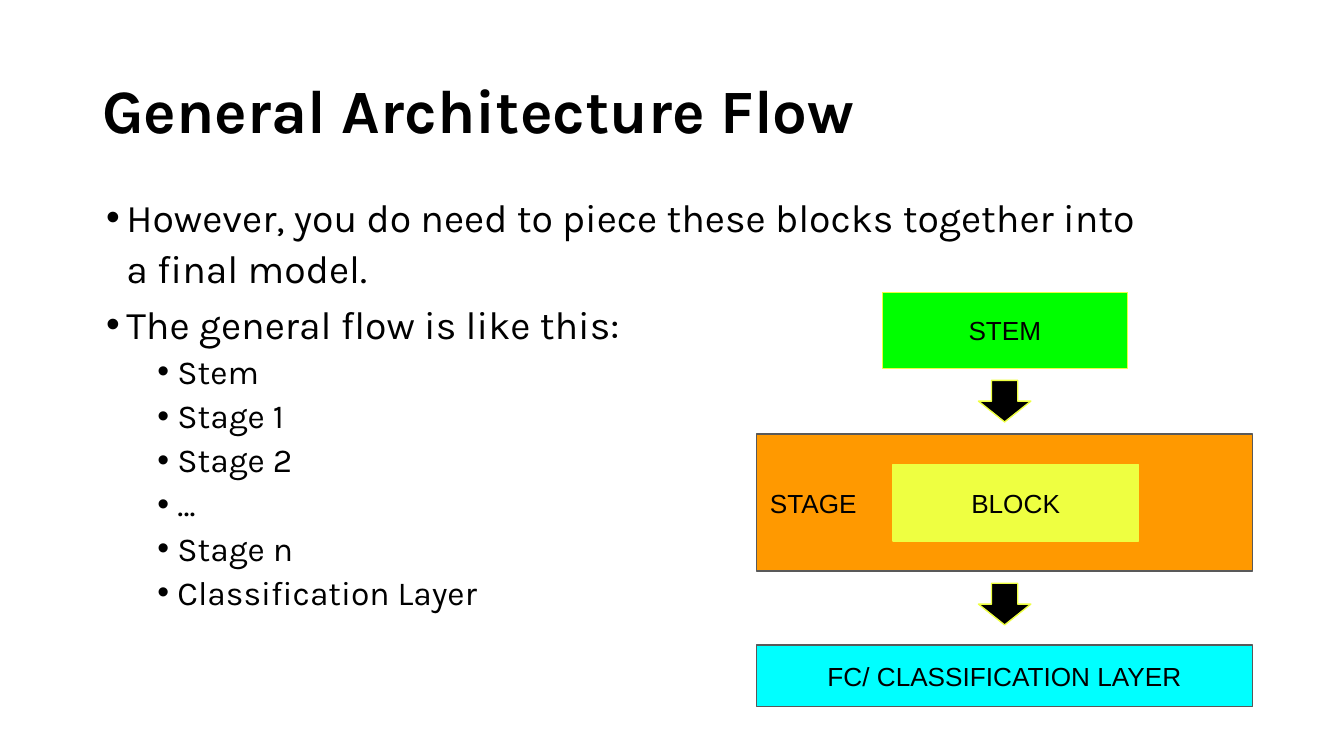
from lxml import etree
from pptx import Presentation
from pptx.dml.color import RGBColor
from pptx.enum.shapes import MSO_SHAPE
from pptx.enum.text import MSO_ANCHOR, MSO_AUTO_SIZE, PP_ALIGN
from pptx.oxml.ns import qn
from pptx.util import Emu, Pt

RECT, ARROW = MSO_SHAPE.RECTANGLE, MSO_SHAPE.DOWN_ARROW
TOP, MID = MSO_ANCHOR.TOP, MSO_ANCHOR.MIDDLE
LEFT, CENTER = PP_ALIGN.LEFT, PP_ALIGN.CENTER
FIT = MSO_AUTO_SIZE.NONE
SCALE = 4572  # EMU in one px, 200 px to the inch
BLACK, GRAY, LIME = "000000", "595959", "EEFF41"


def px(n):
    return Emu(n * SCALE)


def color(code):
    return RGBColor.from_string(code)


def write(para, text, font="Arial", size=14, bold=False, tint=BLACK,
          align=LEFT, before=0, lead=1.0):
    para.text = text
    para.alignment = align
    para.space_before, para.line_spacing = Pt(before), lead
    face = para.font
    face.name, face.size, face.bold = font, Pt(size), bold
    face.color.rgb = color(tint)


def bullet(para, left, hang):
    props = para._p.get_or_add_pPr()
    props.set("marL", str(px(left)))
    props.set("indent", str(-px(hang)))
    tint = etree.SubElement(props, qn("a:buClr"))
    etree.SubElement(tint, qn("a:srgbClr"), val=BLACK)
    etree.SubElement(props, qn("a:buFont"), typeface="Arial")
    etree.SubElement(props, qn("a:buChar"), char="•")


class Deck:
    """Holds the style and the current slide."""

    font = "Karla"
    # per list level: text size, left indent, space before
    levels = ((21, 30, 5), (18, 106, 2))

    def __init__(self, wide, high):
        self.prs = Presentation()
        self.prs.slide_width, self.prs.slide_height = px(wide), px(high)
        self.slide = self.prs.slides.add_slide(self.prs.slide_layouts[1])

    def frame(self, shape, box, inset, anchor):
        shape.left, shape.top, shape.width, shape.height = map(px, box)
        frame = shape.text_frame
        frame.word_wrap, frame.auto_size = True, FIT
        frame.vertical_anchor = anchor
        (frame.margin_left, frame.margin_top,
         frame.margin_right, frame.margin_bottom) = map(px, inset)
        return frame

    def title(self, text, box):
        frame = self.frame(self.slide.shapes.title, box, (2, 3, 0, 0), TOP)
        write(frame.paragraphs[0], text, font=self.font, size=33, bold=True)

    def body(self, items, box):
        frame = self.frame(self.slide.placeholders[1], box, (0, 9, 0, 0), TOP)
        for i, (level, text) in enumerate(items):
            para = frame.add_paragraph() if i else frame.paragraphs[0]
            size, left, before = self.levels[level]
            para.level = level
            bullet(para, left, 30)
            write(para, text, font=self.font, size=size,
                  before=before if i else 0, lead=1.0 if i else 1.08)

    def shape(self, kind, box, fill, line):
        shape = self.slide.shapes.add_shape(kind, *map(px, box))
        shape.shadow.inherit = False
        shape.fill.solid()
        shape.fill.fore_color.rgb = color(fill)
        shape.line.color.rgb = color(line)
        shape.line.width = Pt(0.75)
        return shape

    def block(self, text, box, fill, line, align=CENTER):
        shape = self.shape(RECT, box, fill, line)
        frame = self.frame(shape, box, (20,) * 4, MID)
        write(frame.paragraphs[0], text, align=align)

    def arrow(self, left, top):
        self.shape(ARROW, (left, top, 78, 62), BLACK, LIME)


def main():
    deck = Deck(2000, 1125)
    deck.title("General Architecture Flow", (150, 104, 1648, 114))
    steps = ("Stem", "Stage 1", "Stage 2", "…", "Stage n",
             "Classification Layer")
    deck.body([
        (0, "However, you do need to piece these blocks together into "
            "a final model."),
        (0, "The general flow is like this:"),
        *((1, step) for step in steps),
    ], (158, 273, 1552, 644))

    deck.block("STAGE", (1126, 646, 738, 204), "FF9900", GRAY, align=LEFT)
    deck.block("BLOCK", (1329, 691, 365, 114), LIME, LIME)
    deck.block("STEM", (1313, 435, 365, 113), "00FF00", LIME)
    for top in (566, 868):
        deck.arrow(1456, top)
    deck.block("FC/ CLASSIFICATION LAYER", (1126, 960, 738, 92),
               "00FFFF", GRAY)
    deck.prs.save("out.pptx")


if __name__ == "__main__":
    main()
